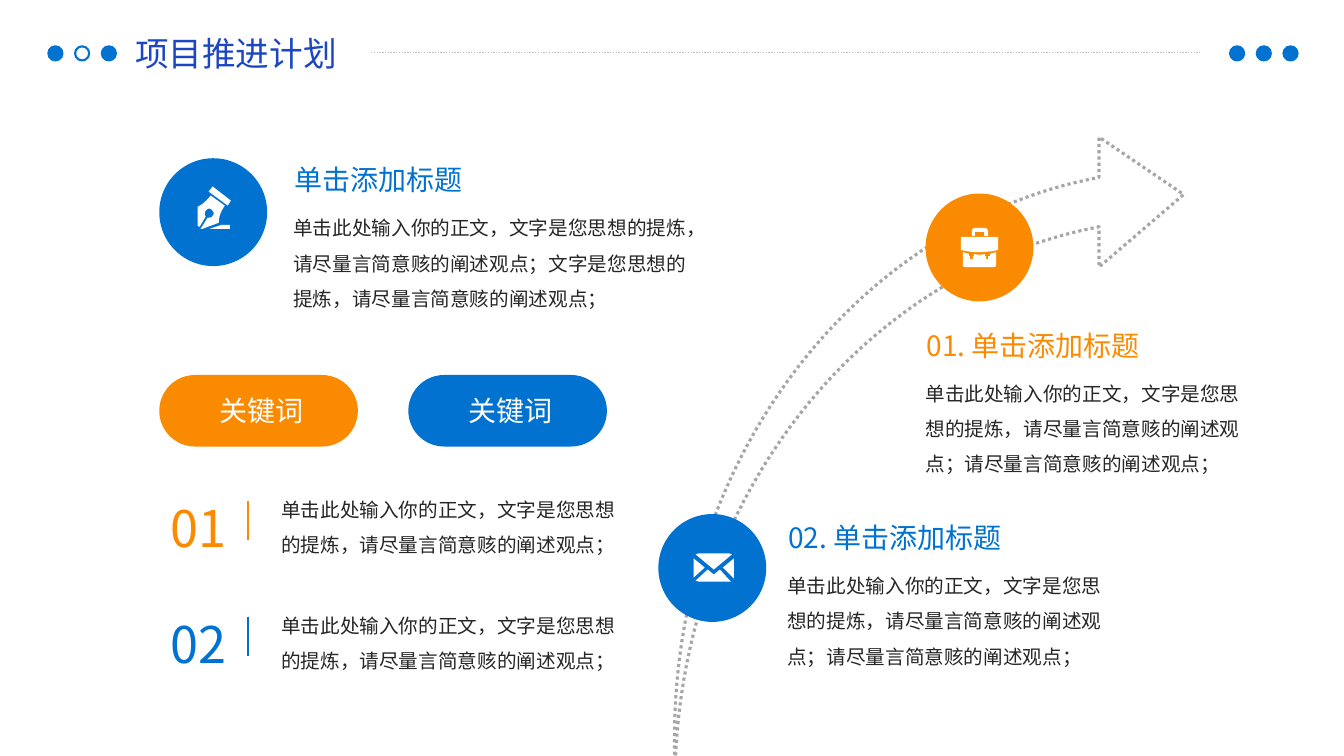
import pptx
import pptx.util
import pptx.dml.color
import pptx.enum.dml
import pptx.enum.shapes
import pptx.enum.text
import pptx.oxml.ns
from lxml import etree

Inches = pptx.util.Inches
Pt = pptx.util.Pt
ALIGN = pptx.enum.text.PP_ALIGN
ANCHOR = pptx.enum.text.MSO_ANCHOR
FIT = pptx.enum.text.MSO_AUTO_SIZE
SHAPE = pptx.enum.shapes.MSO_SHAPE
DOTTED = pptx.enum.dml.MSO_LINE.ROUND_DOT

FONT = "Noto Sans CJK SC"
COLORS = {"blue": "0172D0", "orange": "FA8A00", "title": "1C47C1", "body": "262626",
          "white": "FFFFFF", "rule": "BFBFBF", "arrow": "A6A6A6"}

LEAD_TEXT = "单击此处输入你的正文，文字是您思想的提炼，请尽量言简意赅的阐述观点；文字是您思想的提炼，请尽量言简意赅的阐述观点；"
STEP_TEXT = "单击此处输入你的正文，文字是您思想的提炼，请尽量言简意赅的阐述观点；请尽量言简意赅的阐述观点；"
POINT_TEXT = "单击此处输入你的正文，文字是您思想的提炼，请尽量言简意赅的阐述观点；"

DISC_SIZE = 1.07
PEN = [
    [(0.40, 0.68), (0.38, 0.67), (0.38, 0.48), (0.43, 0.46, 0.47, 0.42, 0.51, 0.37),
     (0.65, 0.47), (0.61, 0.53, 0.59, 0.58, 0.59, 0.64), (0.54, 0.66, 0.48, 0.68, 0.43, 0.70),
     (0.41, 0.70), (0.48, 0.59), (0.50, 0.59, 0.52, 0.59, 0.53, 0.57),
     (0.55, 0.55, 0.54, 0.53, 0.52, 0.51), (0.50, 0.49, 0.48, 0.50, 0.46, 0.52),
     (0.45, 0.54, 0.45, 0.56, 0.46, 0.58)],
    [(0.50, 0.70), (0.70, 0.70), (0.70, 0.66), (0.62, 0.66)],
    [(0.68, 0.47), (0.71, 0.42), (0.53, 0.28), (0.49, 0.33)],
]
BRIEFCASE = [
    [(0.70, 0.58), (0.70, 0.71), (0.70, 0.72, 0.69, 0.73, 0.67, 0.73), (0.40, 0.73),
     (0.38, 0.73, 0.37, 0.72, 0.37, 0.71), (0.37, 0.58), (0.39, 0.59, 0.41, 0.59, 0.43, 0.60),
     (0.43, 0.62), (0.44, 0.62), (0.44, 0.65), (0.47, 0.65), (0.47, 0.62), (0.48, 0.62),
     (0.48, 0.60), (0.52, 0.61, 0.55, 0.61, 0.59, 0.60), (0.59, 0.62), (0.60, 0.62),
     (0.60, 0.65), (0.62, 0.65), (0.62, 0.62), (0.64, 0.62), (0.64, 0.60),
     (0.66, 0.59, 0.68, 0.59, 0.70, 0.58)],
    [(0.49, 0.34), (0.59, 0.34), (0.60, 0.34, 0.62, 0.36, 0.62, 0.37), (0.62, 0.42),
     (0.58, 0.42), (0.58, 0.38), (0.49, 0.38), (0.49, 0.42), (0.46, 0.42), (0.46, 0.37),
     (0.46, 0.36, 0.47, 0.34, 0.49, 0.34)],
    [(0.35, 0.43), (0.35, 0.56), (0.47, 0.59, 0.59, 0.59, 0.72, 0.56), (0.72, 0.43)],
]
ENVELOPE = [
    [(0.40, 0.39), (0.70, 0.39), (0.71, 0.39, 0.72, 0.40, 0.73, 0.40), (0.55, 0.55),
     (0.37, 0.40), (0.38, 0.40, 0.39, 0.39, 0.40, 0.39)],
    [(0.75, 0.44), (0.64, 0.53), (0.75, 0.64)],
    [(0.72, 0.67), (0.70, 0.67), (0.40, 0.67), (0.37, 0.66), (0.49, 0.55), (0.55, 0.60),
     (0.61, 0.55)],
    [(0.35, 0.63), (0.46, 0.53), (0.35, 0.44)],
]
ARROW = [
    [(0, 6.19), (0, 5.96), (0, 3.17, 1.82, 0.85, 4.21, 0.40), (4.21, 0), (5.05, 0.57),
     (4.21, 1.29), (4.21, 0.89), (4.16, 0.90), (1.88, 1.36, 0.13, 3.51, 0.01, 6.15)],
]


def rgb(name):
    """Return the named palette colour."""
    return pptx.dml.color.RGBColor.from_string(COLORS[name])


def write(shape, text, size=14, color="body", align=ALIGN.LEFT, spacing=1.0,
          anchor=ANCHOR.TOP, fit=FIT.NONE):
    """Put one formatted paragraph into a shape."""
    frame = shape.text_frame
    frame.word_wrap = True
    frame.auto_size = fit
    frame.vertical_anchor = anchor
    paragraph = frame.paragraphs[0]
    paragraph.alignment = align
    paragraph.line_spacing = spacing
    run = paragraph.add_run()
    run.text = text
    run.font.size = Pt(size)
    run.font.color.rgb = rgb(color)
    run.font.name = FONT
    east_asian = etree.SubElement(run.font._element, pptx.oxml.ns.qn("a:ea"))
    east_asian.set("typeface", FONT)


def add_text(slide, left, top, width, height, text, **style):
    """Add a text box that grows with its text."""
    box = slide.shapes.add_textbox(Inches(left), Inches(top), Inches(width), Inches(height))
    write(box, text, fit=FIT.SHAPE_TO_FIT_TEXT, **style)


def paint(shape, fill=None, line=None, width=1.5):
    """Set the fill and outline of a shape."""
    shape.shadow.inherit = False
    if fill:
        shape.fill.solid()
        shape.fill.fore_color.rgb = rgb(fill)
    else:
        shape.fill.background()
    if line:
        shape.line.color.rgb = rgb(line)
        shape.line.width = Pt(width)
    else:
        shape.line.fill.background()


def add_block(slide, kind, left, top, width, height, **colors):
    """Add a painted preset shape."""
    shape = slide.shapes.add_shape(kind, Inches(left), Inches(top), Inches(width), Inches(height))
    paint(shape, **colors)
    return shape


def add_line(slide, start, end, color, width):
    """Add a straight line without a shadow."""
    line = slide.shapes.add_connector(pptx.enum.shapes.MSO_CONNECTOR.STRAIGHT,
                                      *(Inches(value) for value in start + end))
    line.line.color.rgb = rgb(color)
    line.line.width = Pt(width)
    etree.SubElement(line._element.spPr, pptx.oxml.ns.qn("a:effectLst"))
    return line


def flatten(contour, steps):
    """Turn points and cubic curves into a list of points."""
    points = []
    for part in contour:
        if len(part) == 2:
            points.append(part)
            continue
        corners = [points[-1], part[:2], part[2:4], part[4:]]
        for step in range(1, steps + 1):
            t = step / steps
            weights = ((1 - t) ** 3, 3 * t * (1 - t) ** 2, 3 * t * t * (1 - t), t ** 3)
            points.append(tuple(sum(weight * corner[axis] for weight, corner in zip(weights, corners))
                                for axis in (0, 1)))
    return points


def add_outline(slide, left, top, contours, steps=6):
    """Draw closed contours as one white freeform."""
    builder = None
    for contour in contours:
        points = [(Inches(left + x), Inches(top + y)) for x, y in flatten(contour, steps)]
        if builder is None:
            builder = slide.shapes.build_freeform(*points[0])
        else:
            builder.move_to(*points[0])
        builder.add_line_segments(points[1:], close=True)
    shape = builder.convert_to_shape()
    paint(shape, fill="white")
    return shape


def add_dots(slide, left, top, fills):
    """Add a row of small header dots."""
    for index, fill in enumerate(fills):
        add_block(slide, SHAPE.OVAL, left + 0.265 * index, top, 0.14, 0.14, fill=fill, line="blue")


def add_header(slide, left, top, text):
    """Place the title, the dots and the dotted rule."""
    title = slide.shapes.title
    title.left, title.top = Inches(left + 0.76), Inches(top)
    title.width, title.height = Inches(4.47), Inches(0.5)
    write(title, text, size=24, color="title", anchor=ANCHOR.MIDDLE)
    add_dots(slide, left, top + 0.18, ["blue", None, "blue"])
    rule = add_line(slide, (left + 3.2, top + 0.24), (left + 11.42, top + 0.24), "rule", 1)
    rule.line.dash_style = DOTTED
    add_dots(slide, left + 11.72, top + 0.18, ["blue"] * 3)


def add_arrow(slide, left, top):
    """Draw the curved growth arrow."""
    arrow = add_outline(slide, left, top, ARROW, steps=60)
    paint(arrow, fill="white", line="arrow", width=2.25)
    arrow.line.dash_style = DOTTED


def add_disc(slide, left, top, color, icon):
    """Place a coloured disc with its icon."""
    add_block(slide, SHAPE.OVAL, left, top, DISC_SIZE, DISC_SIZE, fill=color)
    add_outline(slide, left, top, icon)


def add_topic(slide, left, top, width, heading, body, color):
    """Place a heading above its body text."""
    add_text(slide, left, top + 0.48, width, 1.16, body, spacing=1.5)
    add_text(slide, left + 0.01, top, 2.58, 0.5, heading, size=20, color=color, spacing=1.2)


def add_keyword(slide, left, top, text, color):
    """Place a keyword pill."""
    pill = add_block(slide, SHAPE.ROUNDED_RECTANGLE, left, top, 1.97, 0.71, fill=color)
    pill.adjustments[0] = 0.5
    pill.text_frame.margin_left = Inches(0.16)
    write(pill, text, size=20, color="white", align=ALIGN.CENTER, anchor=ANCHOR.MIDDLE)


def add_point(slide, left, top, number, color):
    """Place a numbered point with its divider."""
    add_text(slide, left + 1.1, top + 0.01, 3.66, 0.81, POINT_TEXT, spacing=1.5)
    add_text(slide, left, top, 0.87, 0.83, number, size=36, color=color, spacing=1.2)
    add_line(slide, (left + 0.87, top + 0.21), (left + 0.87, top + 0.6), color, 1.5)


def main():
    """Build the plan slide and save it."""
    presentation = pptx.Presentation()
    presentation.slide_width, presentation.slide_height = Inches(13.33), Inches(7.5)
    slide = presentation.slides.add_slide(presentation.slide_layouts[5])
    add_header(slide, 0.48, 0.28, "项目推进计划")
    add_arrow(slide, 6.69, 1.36)
    add_disc(slide, 1.58, 1.57, "blue", PEN)
    add_disc(slide, 9.18, 1.92, "orange", BRIEFCASE)
    add_disc(slide, 6.53, 5.1, "blue", ENVELOPE)
    add_topic(slide, 2.81, 1.5, 4.25, "单击添加标题", LEAD_TEXT, "blue")
    add_topic(slide, 9.08, 3.14, 3.46, "01. 单击添加标题", STEP_TEXT, "orange")
    add_topic(slide, 7.71, 5.05, 3.46, "02. 单击添加标题", STEP_TEXT, "blue")
    for index, color in enumerate(("orange", "blue")):
        add_keyword(slide, 1.58 + 2.47 * index, 3.72, "关键词", color)
        add_point(slide, 1.59, 4.76 + 1.15 * index, f"0{index + 1}", color)
    presentation.save("out.pptx")


if __name__ == "__main__":
    main()
